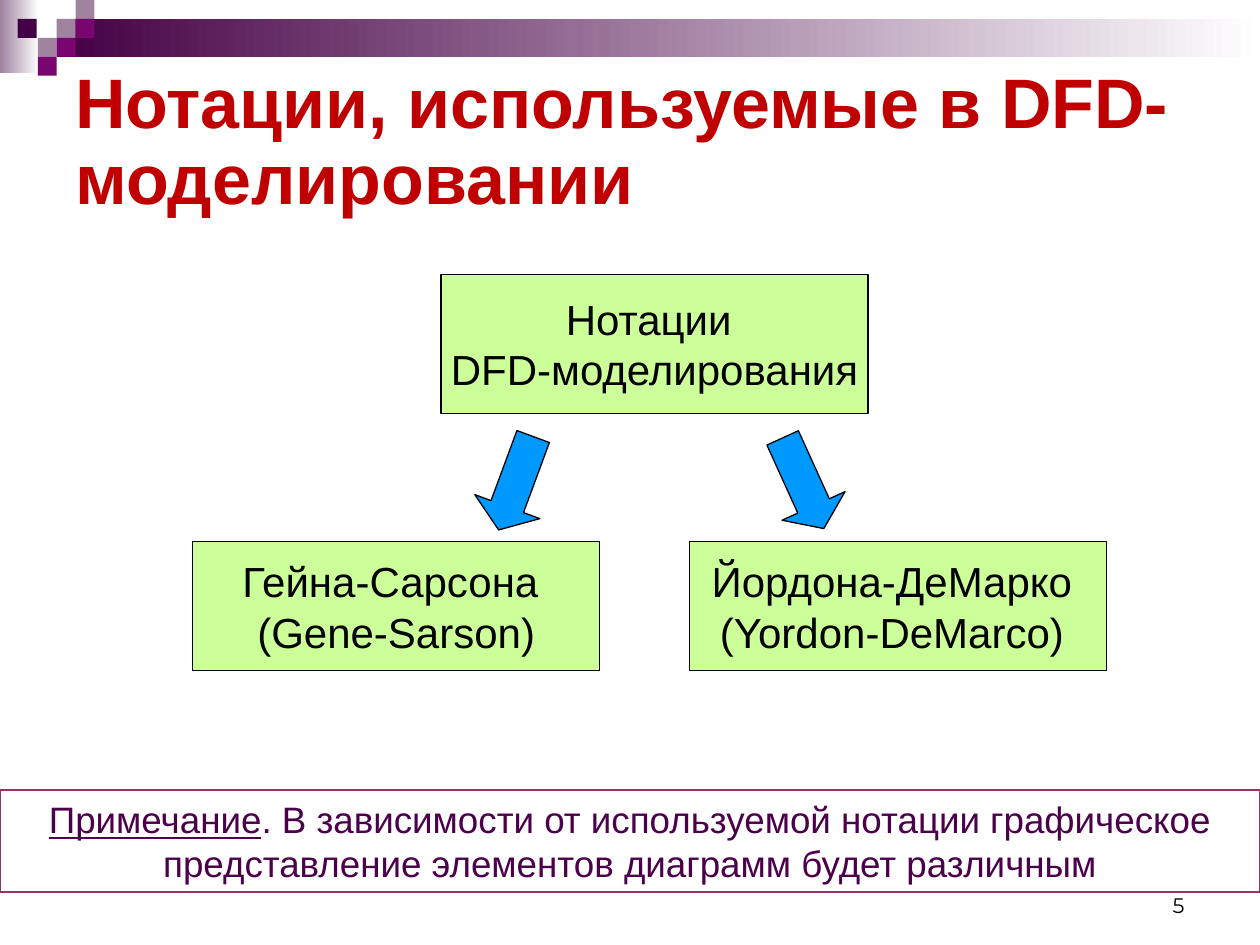
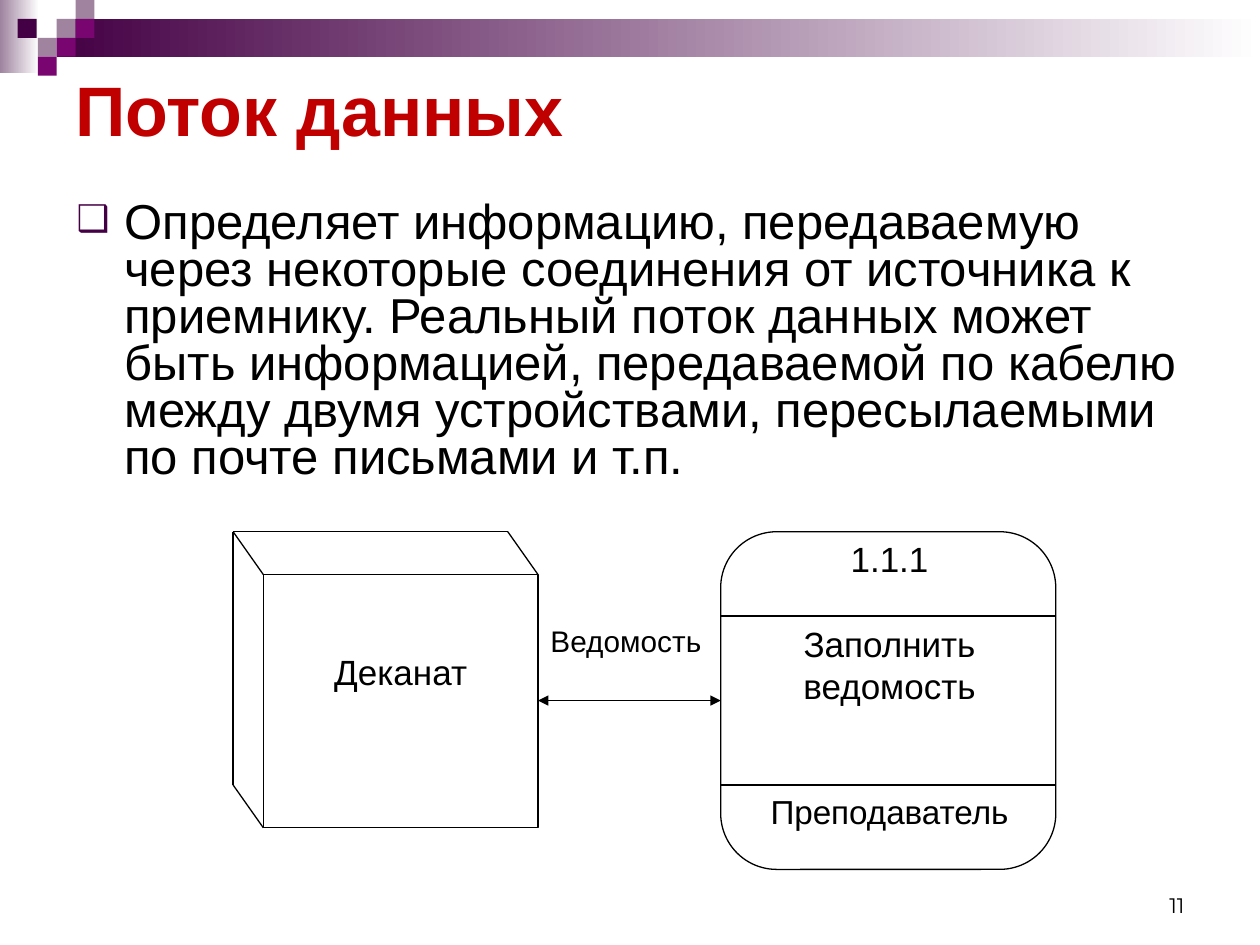
from lxml import etree
from pptx import Presentation
from pptx.dml.color import RGBColor
from pptx.enum.shapes import MSO_CONNECTOR, MSO_SHAPE
from pptx.enum.text import MSO_ANCHOR, PP_ALIGN
from pptx.oxml.ns import qn
from pptx.util import Inches, Pt

RECTANGLE, ROUNDED = MSO_SHAPE.RECTANGLE, MSO_SHAPE.ROUNDED_RECTANGLE
ARROW, STRAIGHT = MSO_SHAPE.DOWN_ARROW, MSO_CONNECTOR.STRAIGHT
LEFT, CENTER, RIGHT = PP_ALIGN.LEFT, PP_ALIGN.CENTER, PP_ALIGN.RIGHT
TOP, MIDDLE, BOTTOM = MSO_ANCHOR.TOP, MSO_ANCHOR.MIDDLE, MSO_ANCHOR.BOTTOM
color = RGBColor.from_string

BLACK, WHITE, RED = "000000", "FFFFFF", "C00000"
PLUM, PURPLE, MAUVE = "440044", "790571", "9F839F"
GREEN, BLUE, NOTE_TEXT, NOTE_LINE = "CCFF99", "0099FF", "4C004C", "993366"
FONT, NUMBER_FONT = "Arial", "Montserrat"


def add_box(page, kind, place, fill=None, line=None):
    box = page.shapes.add_shape(kind, *map(Inches, place))
    box.shadow.inherit = False
    if fill:
        box.fill.solid()
        box.fill.fore_color.rgb = color(fill)
    else:
        box.fill.background()
    if line:
        box.line.color.rgb = color(line)
        box.line.width = Pt(0.75)
    else:
        box.line.fill.background()
    return box


def write(box, lines, size, ink=BLACK, align=CENTER, anchor=TOP, font=FONT, wrap=True):
    frame = box.text_frame
    frame.word_wrap = wrap
    frame.vertical_anchor = anchor
    for index, line in enumerate(lines):
        para = frame.add_paragraph() if index else frame.paragraphs[0]
        para.text = line
        para.alignment = align
        para.font.name = font
        para.font.size = Pt(size)
        para.font.color.rgb = color(ink)
    return frame.paragraphs[0]


deck = Presentation()
deck.slide_width, deck.slide_height = Inches(10), Inches(7.5)

bands = [((0, 0, 0.31, 0.58), MAUVE), ((0.45, 0.15, 9.55, 0.3), PLUM)]
squares = [
    (0.45, 0.15, MAUVE), (0.6, 0, MAUVE), (0.6, 0.15, PURPLE), (0.3, 0.3, MAUVE),
    (0.14, 0.15, PLUM), (0.45, 0.3, PURPLE), (0.3, 0.45, PURPLE),
]
headings = [
    ("Нотации, используемые в DFD-моделировании", 1.28, "5"),
    ("Поток данных", 0.81, "11"),
]
pages = []
for heading, height, number in headings:
    page = deck.slides.add_slide(deck.slide_layouts[6])
    pages.append(page)
    for place, start in bands:
        band = add_box(page, RECTANGLE, place)
        band.fill.gradient()
        band.fill.gradient_angle = 0
        for stop, shade in zip(band.fill.gradient_stops, (start, WHITE)):
            stop.color.rgb = color(shade)
    for left, top, shade in squares:
        add_box(page, RECTANGLE, (left, top, 0.15, 0.15), shade)
    title = page.shapes.add_textbox(*map(Inches, (0.5, 0.5, 9, height)))
    para = write(title, [heading], 40, RED, LEFT, MIDDLE)
    para.font.bold = True
    para.line_spacing = 0.9
    footer = page.shapes.add_textbox(*map(Inches, (7.17, 6.83, 2.33, 0.5)))
    write(footer, [number], 12, align=RIGHT, anchor=BOTTOM, font=NUMBER_FONT)

notations, flow = pages

notation_boxes = [
    ((3.5, 2.18, 3.39, 1.1), ["Нотации ", "DFD-моделирования"]),
    ((1.53, 4.3, 3.23, 1.02), ["Гейна-Сарсона ", "(Gene-Sarson)"]),
    ((5.47, 4.3, 3.31, 1.02), ["Йордона-ДеМарко ", "(Yordon-DeMarco) "]),
]
for place, lines in notation_boxes:
    box = add_box(notations, RECTANGLE, place, GREEN, BLACK)
    write(box, lines, 24, anchor=MIDDLE, wrap=False)

for left, angle in [(6.1, 335.6), (3.82, 20.3)]:
    arrow = add_box(notations, ARROW, (left, 3.44, 0.55, 0.79), BLUE, BLACK)
    arrow.adjustments[0], arrow.adjustments[1] = 0.5, 0.358
    arrow.rotation = angle

note = add_box(notations, RECTANGLE, (0, 6.27, 10, 0.81), line=NOTE_LINE)
para = write(note, ["Примечание"], 21, NOTE_TEXT, anchor=MIDDLE)
para.runs[0].font.underline = True
span = para.add_run()
span.text = (
    ". В зависимости от используемой нотации графическое "
    "представление элементов диаграмм будет различным"
)

body = flow.shapes.add_textbox(*map(Inches, (0.51, 1.55, 9, 2.36)))
definition = (
    "Определяет информацию, передаваемую через некоторые соединения "
    "от источника к приемнику. Реальный поток данных может быть информацией, "
    "передаваемой по кабелю между двумя устройствами, пересылаемыми "
    "по почте письмами и т.п."
)
para = write(body, [definition], 28, align=LEFT)
para.line_spacing = 0.8
para.space_before = Pt(5.6)
properties = para._p.get_or_add_pPr()
properties.set("marL", str(Inches(0.38)))
properties.set("indent", str(-Inches(0.38)))
bullet_color = etree.Element(qn("a:buClr"))
etree.SubElement(bullet_color, qn("a:srgbClr"), val=PLUM)
bullet = [
    bullet_color,
    etree.Element(qn("a:buSzPct"), val="75000"),
    etree.Element(qn("a:buFont"), typeface=FONT),
    etree.Element(qn("a:buChar"), char="❑"),
]
for part in bullet:
    properties.find(qn("a:defRPr")).addprevious(part)

process = add_box(flow, ROUNDED, (5.72, 4.22, 2.66, 2.68), WHITE, BLACK)
process.adjustments[0] = 0.167
office = add_box(flow, RECTANGLE, (2.09, 4.56, 2.18, 2.01), WHITE, BLACK)
write(office, ["Деканат"], 20)
office.text_frame.margin_top = Inches(0.6)

edges = [
    (5.72, 4.89, 8.38, 4.89), (5.72, 6.23, 8.38, 6.23),
    (1.85, 4.22, 2.09, 4.56), (1.85, 4.22, 4.03, 4.22),
    (1.85, 4.22, 1.85, 6.23), (1.85, 6.23, 2.09, 6.57),
    (4.03, 4.22, 4.27, 4.56), (4.27, 5.56, 5.72, 5.56),
]
for edge in edges:
    link = flow.shapes.add_connector(STRAIGHT, *map(Inches, edge))
    link.line.color.rgb = color(BLACK)
    link.line.width = Pt(0.75)
    etree.SubElement(link.element.spPr, qn("a:effectLst"))
link.line.width = Pt(1)
for end in ("a:headEnd", "a:tailEnd"):
    etree.SubElement(link.element.spPr.find(qn("a:ln")), qn(end), type="triangle")

labels = [
    ("1.1.1", (5.97, 4.22, 2.18, 0.67), 20, CENTER),
    ("Заполнить ведомость", (5.97, 4.89, 2.18, 1.34), 20, CENTER),
    ("Преподаватель", (5.97, 6.23, 2.18, 0.67), 19, CENTER),
    ("Ведомость", (4.27, 4.89, 1.45, 0.67), 17, LEFT),
]
for text, place, size, align in labels:
    label = flow.shapes.add_textbox(*map(Inches, place))
    write(label, [text], size, align=align)

deck.save("out.pptx")
